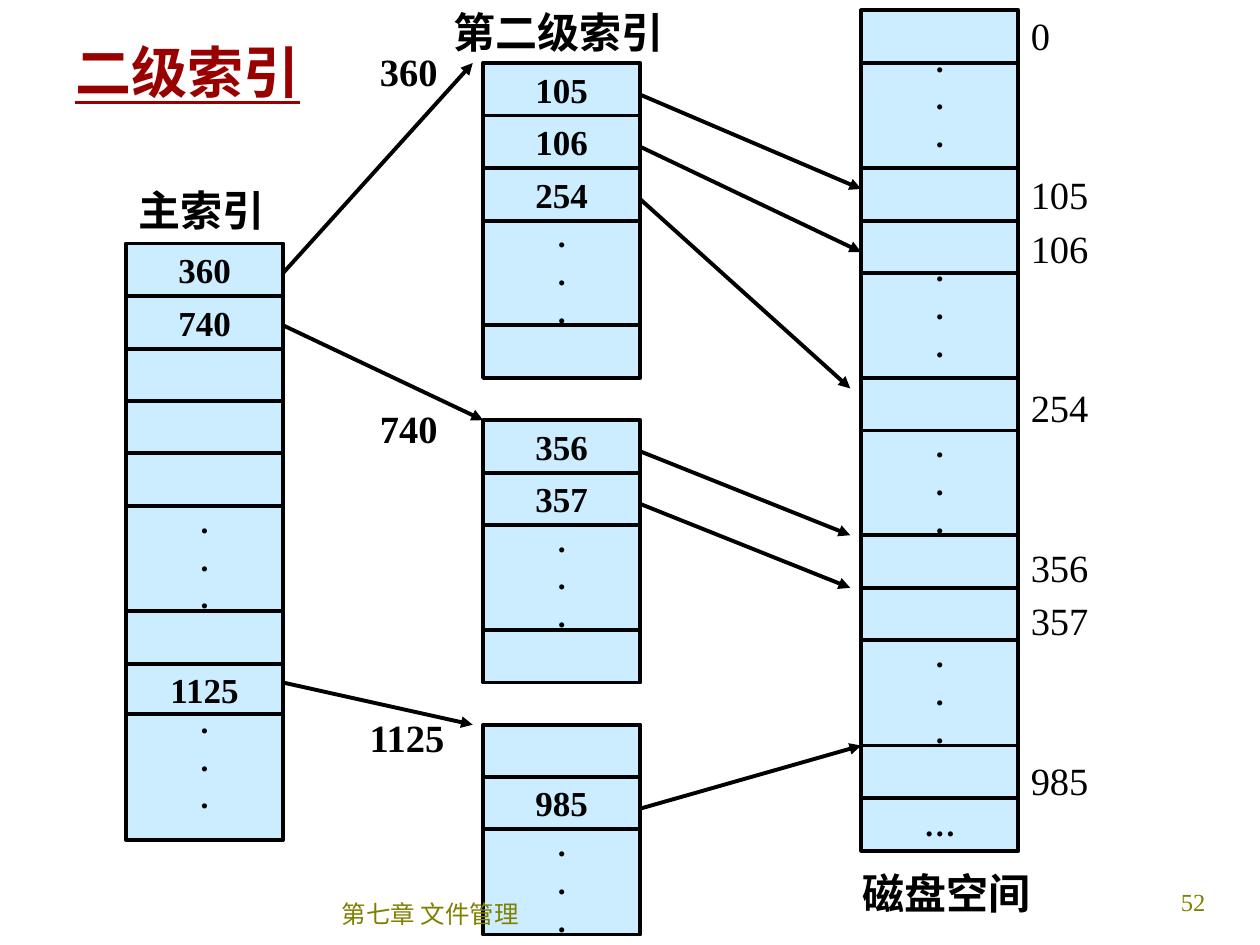
from dataclasses import dataclass

from lxml import etree
from pptx import Presentation
from pptx.dml.color import RGBColor
from pptx.enum import shapes, text
from pptx.oxml import ns
from pptx.util import Cm, Length, Pt

COLORS = {"ink": "010000", "cell": "CCECFF", "title": "990000", "footer": "808000"}
GRID = 2.54 / 12
ROW = 5
COL_WIDTH = 15
MAIN_X, SECOND_X, DISK_X = 12, 46, 82
DOTS = ".\n.\n."
SERIF = "Times New Roman"


@dataclass
class Cell:
    text: str = ""
    height: float = ROW
    size: float = 20
    bottom: float = 0.13


@dataclass
class Column:
    x: float
    top: float
    cells: list[Cell]


@dataclass
class Label:
    text: str
    x: float
    y: float
    width: float
    height: float
    size: float
    color: str = "ink"
    bold: bool = True
    underline: bool = False
    font: str = SERIF
    align: text.PP_ALIGN = text.PP_ALIGN.LEFT
    anchor: text.MSO_ANCHOR = text.MSO_ANCHOR.TOP


@dataclass
class Arrow:
    x1: float
    y1: float
    x2: float
    y2: float


BLANK = Cell()
GAP = Cell(DOTS, 2 * ROW, 18)
HIGH_GAP = Cell(DOTS, 2 * ROW, 18, 0.86)
TALL_GAP = Cell(DOTS, 12, 18, 0.86)

COLUMNS = [
    Column(MAIN_X, 23.2, [Cell("360"), Cell("740"), BLANK, BLANK, BLANK,
                          GAP, BLANK, Cell("1125")]),
    Column(MAIN_X, 68, [TALL_GAP]),
    Column(SECOND_X, 6, [Cell("105"), Cell("106"), Cell("254"), GAP, BLANK]),
    Column(SECOND_X, 40, [Cell("356"), Cell("357"), GAP, BLANK]),
    Column(SECOND_X, 69, [BLANK, Cell("985"), GAP]),
    Column(DISK_X, 1, [BLANK, HIGH_GAP, BLANK, BLANK, HIGH_GAP, BLANK, GAP,
                       BLANK, BLANK, GAP, BLANK, Cell("…", size=18)]),
]

ARROWS = [
    Arrow(27, 26, 45, 6), Arrow(27, 31, 46, 40), Arrow(27, 65, 45, 69),
    Arrow(61, 9, 82, 18), Arrow(61, 14, 82, 24), Arrow(61, 19, 81, 37),
    Arrow(61, 43, 81, 51), Arrow(61, 48, 81, 56), Arrow(61, 77, 82, 71),
]

LABELS = [
    Label("二级索引", 6, 3, 26.6, 7.7, 32, "title", underline=True),
    Label("主索引", 12, 17, 19, 6, 24),
    Label("第二级索引", 42, 0, 24, 6, 24),
    Label("磁盘空间", 81, 82, 19, 6, 24),
    Label("360", 35, 4, 10, 5.6, 22),
    Label("740", 35, 38, 10, 5.6, 22),
    Label("1125", 34, 67.4, 11, 5.6, 22),
    Label("第七章 文件管理", 22, 84, 38, 6, 14, "footer", False, font="Arial",
          align=text.PP_ALIGN.CENTER, anchor=text.MSO_ANCHOR.MIDDLE),
    Label("52", 91, 83.9, 25, 6, 14, "footer", False, align=text.PP_ALIGN.RIGHT),
]

BLOCKS = Label("0\n105\n106\n254\n356\n357\n985", 97, 2, 11, 75, 22, bold=False)
NEAR, FAR = 13.8, 74.6
BLOCK_SPACING = [0, FAR, NEAR, FAR, FAR, NEAR, FAR]


def grid(value: float) -> Length:
    return Cm(round(value * GRID, 2))


def rgb(name: str) -> RGBColor:
    return RGBColor.from_string(COLORS[name])


def write(tf, content: str, align, color: str, **formats) -> None:
    tf.text = content
    for p in tf.paragraphs:
        p.alignment = align
        for r in p.runs:
            r.font.color.rgb = rgb(color)
            for name, value in formats.items():
                setattr(r.font, name, value)


def outline(sp) -> None:
    sp.line.color.rgb = rgb("ink")
    sp.line.width = Pt(2.25)


def draw_column(s, column: Column) -> None:
    y = column.top
    for cell in column.cells:
        sp = s.shapes.add_shape(shapes.MSO_SHAPE.RECTANGLE, grid(column.x), grid(y),
                                grid(COL_WIDTH), grid(cell.height))
        sp.shadow.inherit = False
        sp.fill.solid()
        sp.fill.fore_color.rgb = rgb("cell")
        outline(sp)
        if cell.text:
            tf = sp.text_frame
            tf.word_wrap = False
            tf.vertical_anchor = text.MSO_ANCHOR.MIDDLE
            tf.margin_bottom = Cm(cell.bottom)
            write(tf, cell.text, text.PP_ALIGN.CENTER, "ink",
                  name=SERIF, size=Pt(cell.size), bold=True)
        y += cell.height


def draw_label(s, label: Label):
    sp = s.shapes.add_textbox(grid(label.x), grid(label.y),
                              grid(label.width), grid(label.height))
    tf = sp.text_frame
    tf.word_wrap = True
    tf.vertical_anchor = label.anchor
    write(tf, label.text, label.align, label.color, name=label.font,
          size=Pt(label.size), bold=label.bold, underline=label.underline)
    return tf


def draw_arrow(s, arrow: Arrow) -> None:
    sp = s.shapes.add_connector(shapes.MSO_CONNECTOR.STRAIGHT,
                                grid(arrow.x1), grid(arrow.y1),
                                grid(arrow.x2), grid(arrow.y2))
    outline(sp)
    etree.SubElement(sp.line._get_or_add_ln(), ns.qn("a:tailEnd"), type="triangle")
    etree.SubElement(sp._element.spPr, ns.qn("a:effectLst"))


def draw_block_numbers(s) -> None:
    tf = draw_label(s, BLOCKS)
    for p, before in zip(tf.paragraphs, BLOCK_SPACING):
        p.line_spacing = 0.63
        p.space_before = Pt(before)


def main() -> None:
    prs = Presentation()
    prs.slide_width, prs.slide_height = Cm(25.4), Cm(19.05)
    s = prs.slides.add_slide(prs.slide_layouts[6])
    for column in COLUMNS:
        draw_column(s, column)
    for arrow in ARROWS:
        draw_arrow(s, arrow)
    for label in LABELS:
        draw_label(s, label)
    draw_block_numbers(s)
    prs.save("out.pptx")


if __name__ == "__main__":
    main()
